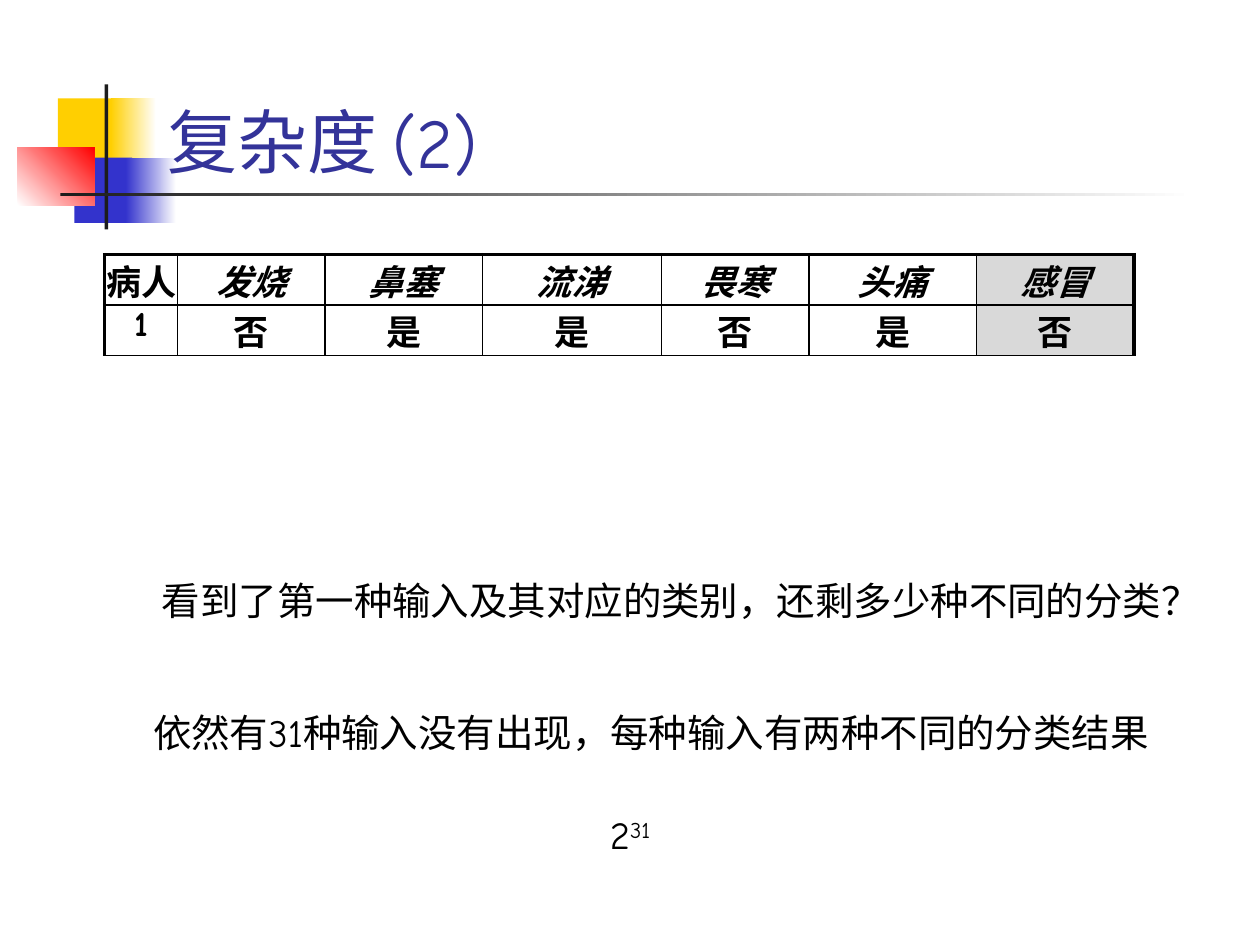
from dataclasses import dataclass
from lxml.etree import SubElement
from pptx import Presentation
from pptx.dml.color import RGBColor
from pptx.enum.shapes import MSO_SHAPE
from pptx.enum.text import MSO_ANCHOR, MSO_AUTO_SIZE, PP_ALIGN
from pptx.oxml.ns import qn
from pptx.util import Inches, Pt


@dataclass(frozen=True)
class Theme:
    gold: str = "FFCF01"
    blue: str = "3333CC"
    red: str = "FF0000"
    dark: str = "1C1C1C"
    white: str = "FFFFFF"
    gray: str = "D9D9D9"
    black: str = "000000"
    navy: str = "333399"
    main: str = "Comic Neue"
    serif: str = "Times New Roman"
    title: int = 40
    body: int = 22
    cell: int = 20
    thin: float = 1
    thick: float = 2.25


T = Theme()

# left, top, width, height, start colour, end colour, angle
DECOR = [
    (0.46, 0.78, 0.48, 0.52, T.gold, None, 0),
    (0.88, 0.78, 0.36, 0.52, T.gold, T.white, 0),
    (0.59, 1.25, 0.46, 0.52, T.blue, None, 0),
    (1, 1.25, 0.4, 0.52, T.blue, T.white, 0),
    (0.14, 1.17, 0.61, 0.46, T.white, T.red, 45),
    (0.83, 0.67, 0.03, 1.15, T.dark, None, 0),
    (0.48, 1.53, 9, 0.03, T.dark, T.white, 0),
]
WIDTHS = [0.58, 1.17, 1.25, 1.42, 1.17, 1.33, 1.25]
HEIGHT = 0.4
ROWS = [
    ["病人", "发烧", "鼻塞", "流涕", "畏寒", "头痛", "感冒"],
    ["1", "否", "是", "是", "否", "是", "否"],
]


def color(code):
    return RGBColor.from_string(code)


def style(font, size, name, code):
    font.size = Pt(size)
    font.name = name
    font.color.rgb = color(code)


def add_block(slide, x, y, w, h, start, end, angle):
    block = slide.shapes.add_shape(
        MSO_SHAPE.RECTANGLE, Inches(x), Inches(y), Inches(w), Inches(h))
    block.shadow.inherit = False
    block.line.fill.background()
    fill = block.fill
    if end is None:
        fill.solid()
        fill.fore_color.rgb = color(start)
        return
    fill.gradient()
    fill.gradient_angle = angle
    for stop, code in zip(fill.gradient_stops, (start, end)):
        stop.color.rgb = color(code)


def add_text(slide, x, y, w, h, text, size=T.body, code=T.black):
    box = slide.shapes.add_textbox(Inches(x), Inches(y), Inches(w), Inches(h))
    frame = box.text_frame
    frame.word_wrap = True
    frame.text = text
    para = frame.paragraphs[0]
    for run in para.runs:
        style(run.font, size, T.main, code)
    return frame, para


def add_note(slide, x, y, w, h, text):
    frame, para = add_text(slide, x, y, w, h, text)
    frame.auto_size = MSO_AUTO_SIZE.SHAPE_TO_FIT_TEXT
    para.alignment = PP_ALIGN.CENTER
    return para


def indent(para):
    para.level = 1
    para.line_spacing = 0.9
    props = para._p.get_or_add_pPr()
    props.set("marL", str(Inches(0.5)))
    props.set("indent", "0")


def set_edge(cell, side, width):
    line = SubElement(cell._tc.get_or_add_tcPr(), qn("a:ln" + side),
                      w=str(Pt(width)))
    fill = SubElement(line, qn("a:solidFill"))
    SubElement(fill, qn("a:srgbClr"), val=T.black)


def fill_cell(cell, text, row, col):
    last = col == len(WIDTHS) - 1
    cell.margin_left = cell.margin_right = 0
    cell.margin_top = cell.margin_bottom = 0
    # Outer edges are thick, apart from the bottom one
    thick = {"L": col == 0, "R": last, "T": row == 0, "B": False}
    for side, heavy in thick.items():
        set_edge(cell, side, T.thick if heavy else T.thin)
    cell.fill.solid()
    cell.fill.fore_color.rgb = color(T.gray if last else T.white)
    cell.text_frame.text = text
    para = cell.text_frame.paragraphs[0]
    para.alignment = PP_ALIGN.CENTER
    font = para.runs[0].font
    style(font, T.cell, T.serif if col else T.main, T.black)
    font.bold = True
    font.italic = row == 0 and col > 0


def add_grid(slide):
    table = slide.shapes.add_table(
        len(ROWS), len(WIDTHS), Inches(0.83), Inches(2.02),
        Inches(sum(WIDTHS)), Inches(HEIGHT * len(ROWS))).table
    table.first_row = table.horz_banding = False
    for column, width in zip(table.columns, WIDTHS):
        column.width = Inches(width)
    for r, texts in enumerate(ROWS):
        table.rows[r].height = Inches(HEIGHT)
        for c, text in enumerate(texts):
            fill_cell(table.cell(r, c), text, r, c)


def main():
    deck = Presentation()
    deck.slide_width, deck.slide_height = Inches(10), Inches(7.5)
    slide = deck.slides.add_slide(deck.slide_layouts[6])

    # Corner blocks and rules
    for item in DECOR:
        add_block(slide, *item)

    # Title
    frame, _ = add_text(slide, 1.23, 0.5, 8.52, 1, "复杂度 (2)",
                        T.title, T.navy)
    frame.vertical_anchor = MSO_ANCHOR.BOTTOM

    # Patient table
    add_grid(slide)

    # Question and answer
    indent(add_note(slide, 0.54, 4.57, 8.92, 0.43,
                    "看到了第一种输入及其对应的类别，还剩多少种不同的分类？ "))
    indent(add_note(slide, -0.23, 5.62, 10.29, 0.43,
                    "依然有31种输入没有出现，每种输入有两种不同的分类结果"))

    # Count with its exponent
    para = add_note(slide, 0.59, 6.39, 8.82, 0.47, "2")
    power = para.add_run()
    power.text = "31"
    style(power.font, T.body, T.main, T.black)
    power._r.get_or_add_rPr().set("baseline", "30000")

    deck.save("out.pptx")


if __name__ == "__main__":
    main()
